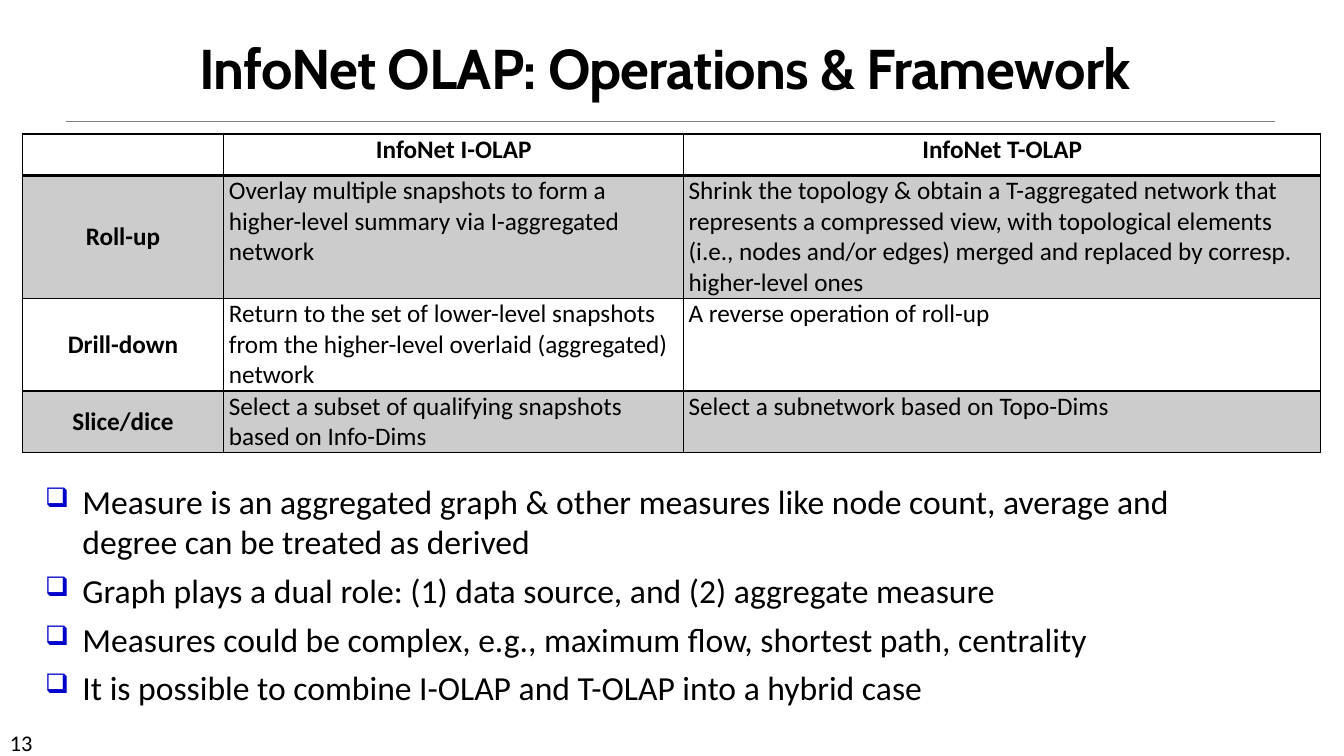
from lxml.etree import SubElement
from pptx import Presentation
from pptx.dml.color import RGBColor
from pptx.enum.shapes import MSO_CONNECTOR
from pptx.enum.text import MSO_ANCHOR, PP_ALIGN
from pptx.oxml import parse_xml
from pptx.oxml.ns import nsdecls, qn
from pptx.util import Pt

SCALE = 9144
COLORS = {"text": "000000", "rule": "808080", "bullet": "0000CC", "band": "000000"}
BAND_ALPHA = 20000
TITLE_FONT = {"name": "Cabin", "size": Pt(40), "bold": True}
CELL_FONT = {"name": "Calibri", "size": Pt(18)}
BULLET_FONT = {"name": "Calibri", "size": Pt(24)}
NUMBER_FONT = {"name": "Calibri", "size": Pt(16)}
CELL_MARGINS = {"margin_left": 5, "margin_right": 5, "margin_top": 0, "margin_bottom": 0}
BULLET_INDENT = 37

COLUMN_WIDTHS = [200, 456, 632]
ROW_HEIGHTS = [41, 122, 92, 61]
OPERATIONS = [
    ["", "InfoNet I-OLAP", "InfoNet T-OLAP"],
    [
        "Roll-up",
        "Overlay multiple snapshots to form a higher-level summary via I-aggregated network",
        "Shrink the topology & obtain a T-aggregated network that represents a compressed view, "
        "with topological elements (i.e., nodes and/or edges) merged and replaced by corresp. "
        "higher-level ones",
    ],
    [
        "Drill-down",
        "Return to the set of lower-level snapshots from the higher-level overlaid (aggregated) network",
        "A reverse operation of roll-up",
    ],
    [
        "Slice/dice",
        "Select a subset of qualifying snapshots based on Info-Dims",
        "Select a subnetwork based on Topo-Dims",
    ],
]
REMARKS = [
    "Measure is an aggregated graph & other measures like node count, average and degree "
    "can be treated as derived",
    "Graph plays a dual role: (1) data source, and (2) aggregate measure",
    "Measures could be complex, e.g., maximum flow, shortest path, centrality",
    "It is possible to combine I-OLAP and T-OLAP into a hybrid case",
]


def px(length):
    return length * SCALE


def color(name):
    return RGBColor.from_string(COLORS[name])


def write(paragraph, text, font):
    run = paragraph.add_run()
    run.text = text
    for name, value in font.items():
        setattr(run.font, name, value)
    run.font.color.rgb = color("text")
    return run


def add_text_frame(slide, box):
    frame = slide.shapes.add_textbox(*map(px, box)).text_frame
    frame.word_wrap = True
    return frame


def add_title(slide, box, text):
    frame = add_text_frame(slide, box)
    frame.vertical_anchor = MSO_ANCHOR.BOTTOM
    paragraph = frame.paragraphs[0]
    paragraph.alignment = PP_ALIGN.CENTER
    paragraph.line_spacing = 0.85
    run = write(paragraph, text, TITLE_FONT)
    run.font._element.set("spc", "-50")


def add_rule(slide, box):
    left, top, width, height = map(px, box)
    rule = slide.shapes.add_connector(
        MSO_CONNECTOR.STRAIGHT, left, top, left + width, top + height
    )
    rule.line.color.rgb = color("rule")
    rule.line.width = Pt(0.5)
    SubElement(rule._element.spPr, qn("a:effectLst"))


def set_borders(cell, widths):
    properties = cell._tc.get_or_add_tcPr()
    for position, (side, width) in enumerate(widths.items()):
        border = parse_xml(
            f'<a:ln{side} {nsdecls("a")} w="{Pt(width)}"><a:solidFill>'
            f'<a:srgbClr val="{COLORS["text"]}"/></a:solidFill></a:ln{side}>'
        )
        properties.insert(position, border)


def shade(cell):
    cell.fill.solid()
    cell.fill.fore_color.rgb = color("band")
    band_color = cell._tc.tcPr.find(".//" + qn("a:srgbClr"))
    SubElement(band_color, qn("a:alpha")).set("val", str(BAND_ALPHA))


def format_cell(cell, text, row, column):
    for name, value in CELL_MARGINS.items():
        setattr(cell, name, px(value))
    is_label = row == 0 or column == 0
    is_row_label = row > 0 and column == 0
    cell.vertical_anchor = MSO_ANCHOR.MIDDLE if is_row_label else MSO_ANCHOR.TOP
    if text:
        paragraph = cell.text_frame.paragraphs[0]
        paragraph.alignment = PP_ALIGN.CENTER if is_label else PP_ALIGN.LEFT
        write(paragraph, text, {**CELL_FONT, "bold": is_label})
    if row % 2:
        shade(cell)
    else:
        cell.fill.background()
    set_borders(cell, {"L": 1, "R": 1, "T": 2 if row == 1 else 1, "B": 2 if row == 0 else 1})


def add_operations_table(slide, left, top):
    box = (left, top, sum(COLUMN_WIDTHS), sum(ROW_HEIGHTS))
    table = slide.shapes.add_table(
        len(ROW_HEIGHTS), len(COLUMN_WIDTHS), *map(px, box)
    ).table
    table.first_row = table.horz_banding = False
    for column, width in zip(table.columns, COLUMN_WIDTHS):
        column.width = px(width)
    for row, height in zip(table.rows, ROW_HEIGHTS):
        row.height = px(height)
    for row, texts in enumerate(OPERATIONS):
        for column, text in enumerate(texts):
            format_cell(table.cell(row, column), text, row, column)


def add_bullet(paragraph):
    properties = paragraph._p.get_or_add_pPr()
    properties.set("marL", str(px(BULLET_INDENT)))
    properties.set("indent", str(-px(BULLET_INDENT)))
    bullet_color = SubElement(properties, qn("a:buClr"))
    SubElement(bullet_color, qn("a:srgbClr")).set("val", COLORS["bullet"])
    SubElement(properties, qn("a:buSzPct")).set("val", "80000")
    SubElement(properties, qn("a:buChar")).set("char", "❑")


def add_remarks(slide, box):
    frame = add_text_frame(slide, box)
    for position, remark in enumerate(REMARKS):
        paragraph = frame.add_paragraph() if position else frame.paragraphs[0]
        add_bullet(paragraph)
        if position:
            paragraph.space_before = Pt(6)
        write(paragraph, remark, BULLET_FONT)


def add_page_number(slide, box, text):
    write(add_text_frame(slide, box).paragraphs[0], text, NUMBER_FONT)


def main():
    presentation = Presentation()
    presentation.slide_width = px(1333)
    presentation.slide_height = px(750)
    slide = presentation.slides.add_slide(presentation.slide_layouts[6])
    add_rule(slide, (65, 120, 1200, 0))
    add_page_number(slide, (0, 718, 117, 30), "13")
    add_title(slide, (38, 31, 1243, 74), "InfoNet OLAP: Operations & Framework")
    add_operations_table(slide, 22, 133)
    add_remarks(slide, (35, 472, 1167, 254))
    presentation.save("out.pptx")


if __name__ == "__main__":
    main()
